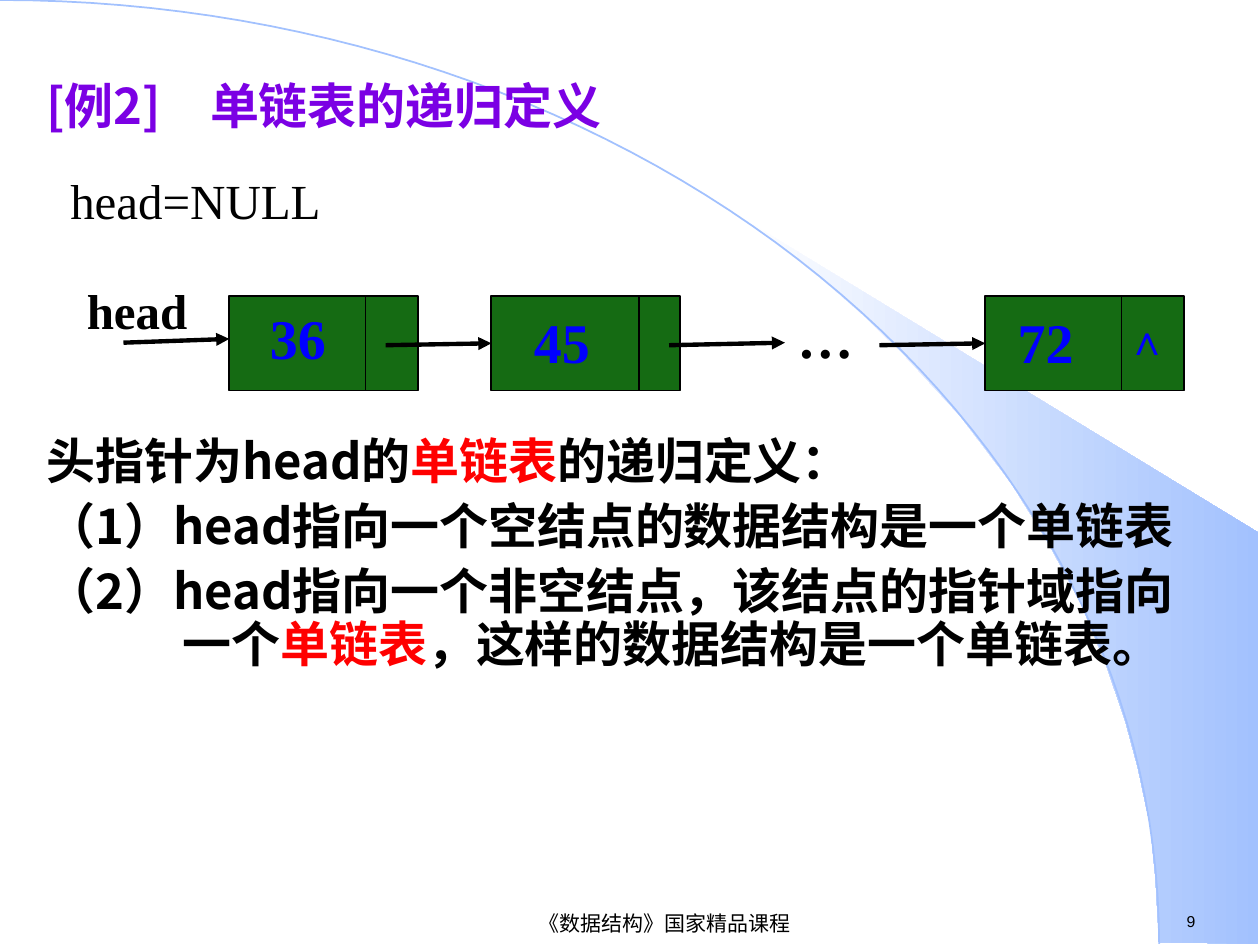
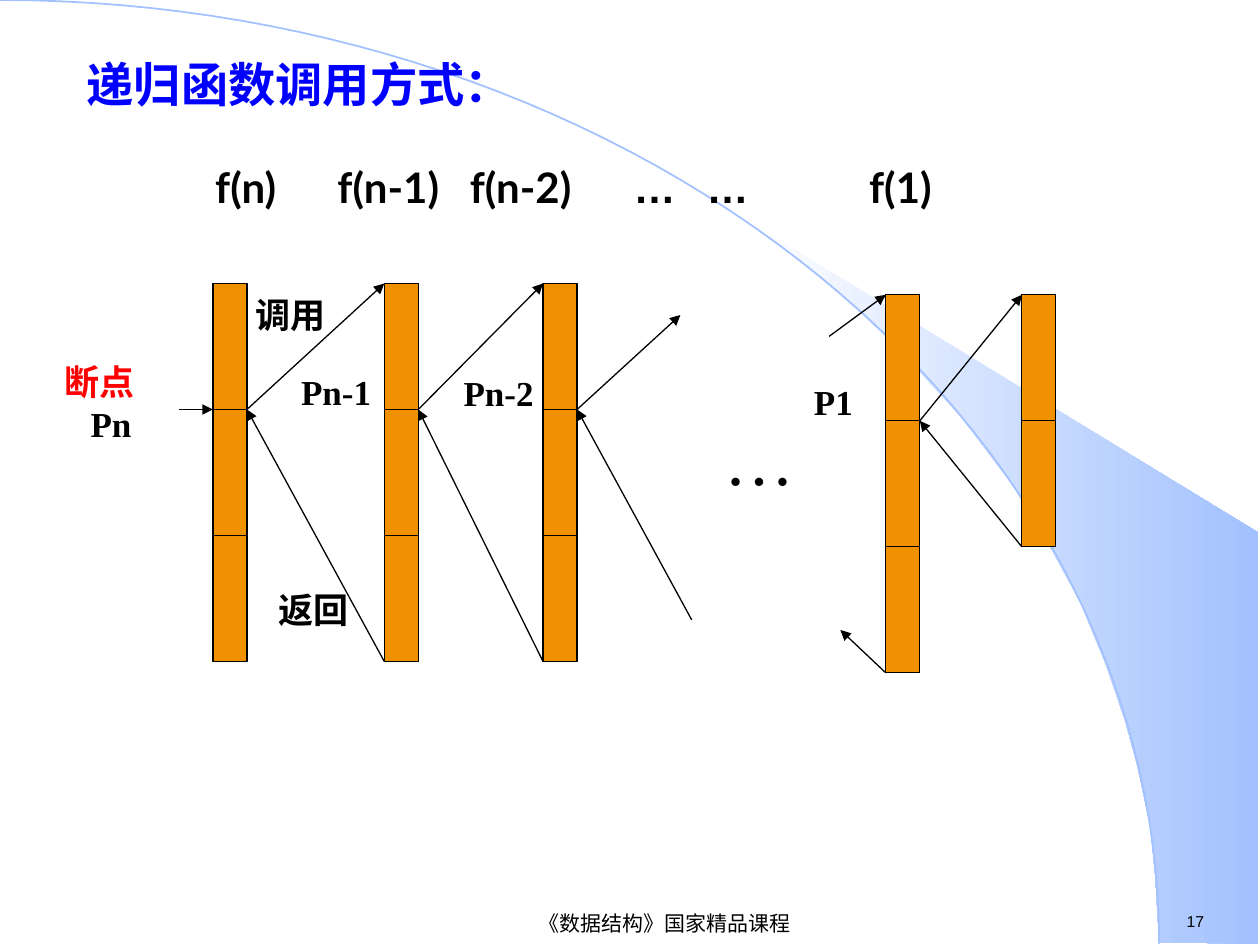
from dataclasses import dataclass
from math import cos, pi, sin

from lxml.etree import SubElement
from pptx import Presentation
from pptx.dml.color import RGBColor
from pptx.enum.shapes import MSO_CONNECTOR, MSO_SHAPE
from pptx.enum.text import MSO_ANCHOR, PP_ALIGN
from pptx.oxml.ns import qn
from pptx.util import Emu, Pt

PX = 9144  # 100 px to the inch


@dataclass(frozen=True)
class Theme:
    black: str = "000000"
    white: str = "FFFFFF"
    red: str = "FF0000"
    blue: str = "0000FF"
    purple: str = "7B00E4"
    sky: str = "A2C1FE"
    node_green: str = "156B13"
    stack_orange: str = "EF9100"
    serif: str = "Times New Roman"
    sans: str = "Arial"
    formula: str = "Lato"
    hei: str = "Noto Sans CJK SC"
    page: int = 9
    footer: int = 12
    label: int = 20
    call: int = 24
    title: int = 27
    body: int = 28
    value: int = 32
    dots: int = 40


T = Theme()


@dataclass(frozen=True)
class Style:
    size: int
    font: str = T.serif
    color: str = T.black
    bold: bool = False


BODY = Style(T.body, T.hei, bold=True)
KEYWORD = Style(T.body, T.hei, T.red, True)
LABEL = Style(T.label, bold=True)
VALUE = Style(T.value, color=T.blue, bold=True)


def px(length):
    return Emu(round(length * PX))


def rgb(color):
    return RGBColor.from_string(color)


def add_text(slide, box, paragraphs, inset=(10, 5), wrap=True, align=PP_ALIGN.LEFT,
             anchor=MSO_ANCHOR.TOP, spacing=None, before=0, hanging=0, indents=(), tabs=()):
    """Add a text box; each paragraph is a list of (text, Style) runs."""
    frame = slide.shapes.add_textbox(*map(px, box)).text_frame
    frame.word_wrap = wrap
    frame.vertical_anchor = anchor
    frame.margin_left = frame.margin_right = px(inset[0])
    frame.margin_top = frame.margin_bottom = px(inset[1])
    for index, runs in enumerate(paragraphs):
        paragraph = frame.add_paragraph() if index else frame.paragraphs[0]
        paragraph.alignment = align
        if spacing:
            paragraph.line_spacing = spacing
        if index and before:
            paragraph.space_before = Pt(before)
        properties = paragraph._p.get_or_add_pPr()
        if hanging:
            properties.set("marL", str(px(hanging)))
            properties.set("indent", str(px(-hanging)))
        elif indents:
            properties.set("marL", str(px(indents[index])))
        if tabs:
            tab_list = SubElement(properties, qn("a:tabLst"))
            for stop in tabs:
                SubElement(tab_list, qn("a:tab"), pos=str(px(stop)), algn="l")
        for text, style in runs:
            run = paragraph.add_run()
            run.text = text
            run.font.size = Pt(style.size)
            run.font.name = style.font
            run.font.bold = style.bold
            run.font.color.rgb = rgb(style.color)
            SubElement(run._r.get_or_add_rPr(), qn("a:ea"), typeface=T.hei)


def add_label(slide, x, y, width, height, text, style=LABEL):
    add_text(slide, (x, y, width, height), [[(text, style)]], inset=(0, 0), wrap=False)


def add_block(slide, box, color, line_width):
    block = slide.shapes.add_shape(MSO_SHAPE.RECTANGLE, *map(px, box))
    block.shadow.inherit = False
    block.fill.solid()
    block.fill.fore_color.rgb = rgb(color)
    block.line.color.rgb = rgb(T.black)
    block.line.width = Pt(line_width)
    return block


def add_line(slide, start, end, width, arrow=True):
    line = slide.shapes.add_connector(MSO_CONNECTOR.STRAIGHT, *map(px, start + end))
    line.line.color.rgb = rgb(T.black)
    line.line.width = Pt(width)
    if arrow:
        SubElement(line.line._get_or_add_ln(), qn("a:tailEnd"), type="triangle")
    SubElement(line._element.spPr, qn("a:effectLst"))
    return line


def add_outline(slide, points, close):
    """Add a freeform through points given in px."""
    start, *rest = [(px(x), px(y)) for x, y in points]
    builder = slide.shapes.build_freeform(*start, scale=1.0)
    builder.add_line_segments(rest, close=close)
    outline = builder.convert_to_shape()
    outline.shadow.inherit = False
    return outline


def add_backdrop(slide):
    beam = add_outline(slide, [
        (920, 748), (999, 749), (999, 423), (589, 173), (624, 199), (653, 222),
        (685, 250), (716, 280), (762, 330), (803, 384), (832, 431), (858, 479),
        (878, 528), (893, 572), (903, 609), (913, 656), (917, 696)], close=True)
    beam.fill.gradient()
    beam.fill.gradient_angle = 0
    for stop, color in zip(beam.fill.gradient_stops, (T.white, T.sky)):
        stop.color.rgb = rgb(color)
    beam.line.fill.background()

    steps = 60
    angles = [pi / 2 * step / steps for step in range(steps + 1)]
    arc = add_outline(slide, [(920 * sin(a), 749 * (1 - cos(a))) for a in angles], close=False)
    arc.fill.background()
    arc.line.color.rgb = rgb(T.sky)
    arc.line.width = Pt(1)


def add_course_slide(deck, number):
    """Add a blank slide with the shared backdrop, page number and footer."""
    slide = deck.slides.add_slide(deck.slide_layouts[6])
    add_backdrop(slide)
    add_text(slide, (932, 719, 77, 25), [[(number, Style(T.page, T.sans))]], wrap=False)
    add_text(slide, (240, 721, 575, 24), [[("《数据结构》国家精品课程", Style(T.footer, T.sans))]],
             align=PP_ALIGN.CENTER, anchor=MSO_ANCHOR.MIDDLE)
    return slide


def add_node(slide, x, y, width, split, value, value_box):
    """Add a list node: a data cell, a pointer cell from split on, and its value."""
    height = 75
    node = add_block(slide, (x, y, width, height), T.node_green, 1)
    add_line(slide, (x + split, y), (x + split, y + height), 1, arrow=False)
    dx, dy, value_width = value_box
    add_text(slide, (x + dx, y + dy, value_width, 53), [[(value, VALUE)]],
             inset=(0, 0), align=PP_ALIGN.CENTER)
    return node


def add_linked_list(slide, x, y):
    add_node(slide, x + 123, y, 150, 108, "36", (11, 6, 87))
    second = add_node(slide, x + 331, y, 150, 117, "45", (17, 9, 78))
    last = add_node(slide, x + 723, y, 158, 108, "72", (8, 9, 80))
    add_label(slide, x + 835, y + 14, 39, 40, "∧", Style(T.call, color=T.blue, bold=True))
    add_text(slide, (x, y - 17, 102, 57), [[("head", Style(T.body, bold=True))]])
    add_text(slide, (x + 564, y, 75, 64), [[("…", Style(T.value, bold=True))]])

    for start, end, target in (((39, 37), (123, 34), None), ((247, 39), (331, 37), second),
                               ((472, 39), (564, 37), None), ((639, 39), (723, 37), last)):
        pointer = add_line(slide, (x + start[0], y + start[1]), (x + end[0], y + end[1]), 2.5)
        if target:
            pointer.end_connect(target, 1)


def build_list_definition(deck):
    slide = add_course_slide(deck, "9")
    add_text(slide, (27, 60, 937, 55),
             [[("[例2]　单链表的递归定义", Style(T.body, T.hei, T.purple, True))]], spacing=0.9)
    add_text(slide, (46, 130, 400, 55), [[("head=NULL", Style(T.body))]])
    add_linked_list(slide, 59, 235)
    add_text(slide, (27, 342, 937, 300), [
        [("头指针为head的", BODY), ("单链表", KEYWORD), ("的递归定义：", BODY)],
        [("（1）head指向一个空结点的数据结构是一个单链表", BODY)],
        [("（2）head指向一个非空结点，该结点的指针域指向一个", BODY), ("单链表", KEYWORD),
         ("，这样的数据结构是一个单链表。", BODY)],
    ], spacing=0.9, before=7, hanging=108)


@dataclass(frozen=True)
class Stack:
    """A column of equal blocks standing for one call of the function."""
    x: int
    y: int
    blocks: int = 3
    width: int = 27
    step: int = 100

    @property
    def top(self):
        return self.x, self.y

    @property
    def bottom(self):
        return self.x, self.y + self.blocks * self.step

    @property
    def breakpoint(self):
        return self.x + self.width, self.y + self.step

    def draw(self, slide):
        for row in range(self.blocks):
            add_block(slide, (self.x, self.y + row * self.step, self.width, self.step),
                      T.stack_orange, 0.75)


def add_call_diagram(slide, x, y):
    first, second, third, base, leaf = stacks = (
        Stack(x + 118, y), Stack(x + 254, y), Stack(x + 380, y),
        Stack(x + 652, y + 9), Stack(x + 760, y + 9, blocks=2))
    for stack in stacks:
        stack.draw(slide)

    arrows = [
        (third.breakpoint, (x + 489, y + 25)), ((x + 607, y + 42), base.top),
        (base.bottom, (x + 616, y + 275)), ((x + 498, y + 267), third.breakpoint),
        ((x + 91, y + 100), (first.x, y + 100))]
    for caller, callee in ((first, second), (second, third), (base, leaf)):
        arrows += [(caller.breakpoint, callee.top), (callee.bottom, caller.breakpoint)]
    for start, end in arrows:
        add_line(slide, start, end, 0.75)

    for dx, dy, width, text in ((152, 8, 56, "调用"), (170, 242, 56, "返回"),
                                (188, 69, 56, "Pn-1"), (317, 70, 56, "Pn-2"),
                                (595, 77, 31, "P1")):
        add_label(slide, x + dx, y + dy, width, 33, text)
    add_text(slide, (x, y + 61, 60, 67),
             [[("断点", Style(T.label, color=T.red, bold=True))], [("Pn", LABEL)]],
             inset=(0, 0), indents=(0, 21))
    add_text(slide, (x + 514, y + 100, 75, 77), [[("…", Style(T.dots))]], wrap=False)


def build_call_sequence(deck):
    slide = add_course_slide(deck, "17")
    add_text(slide, (59, 21, 850, 94),
             [[("递归函数调用方式：", Style(T.title, color=T.blue, bold=True))]], spacing=1.4)
    add_call_diagram(slide, 51, 225)
    formula = Style(T.call, T.formula, bold=True)
    add_text(slide, (20, 123, 945, 50), [[
        ("\tf(n)\tf(n-1)\tf(n-2)", formula),
        ("\t…\t…", Style(T.call, T.sans, bold=True)),
        ("\tf(1)", formula)]], tabs=(141, 238, 343, 473, 531, 660))


def main():
    deck = Presentation()
    deck.slide_width, deck.slide_height = px(1000), px(750)
    build_list_definition(deck)
    build_call_sequence(deck)
    deck.save("out.pptx")


if __name__ == "__main__":
    main()
